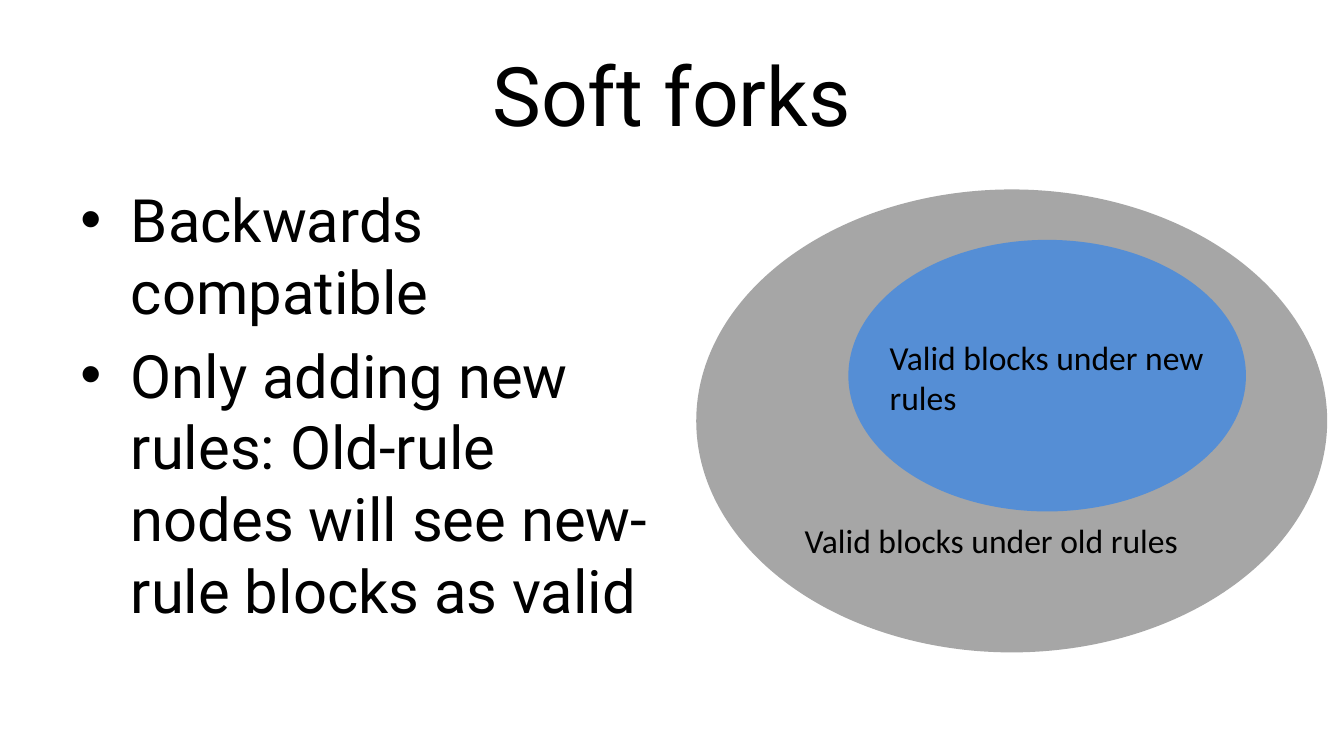
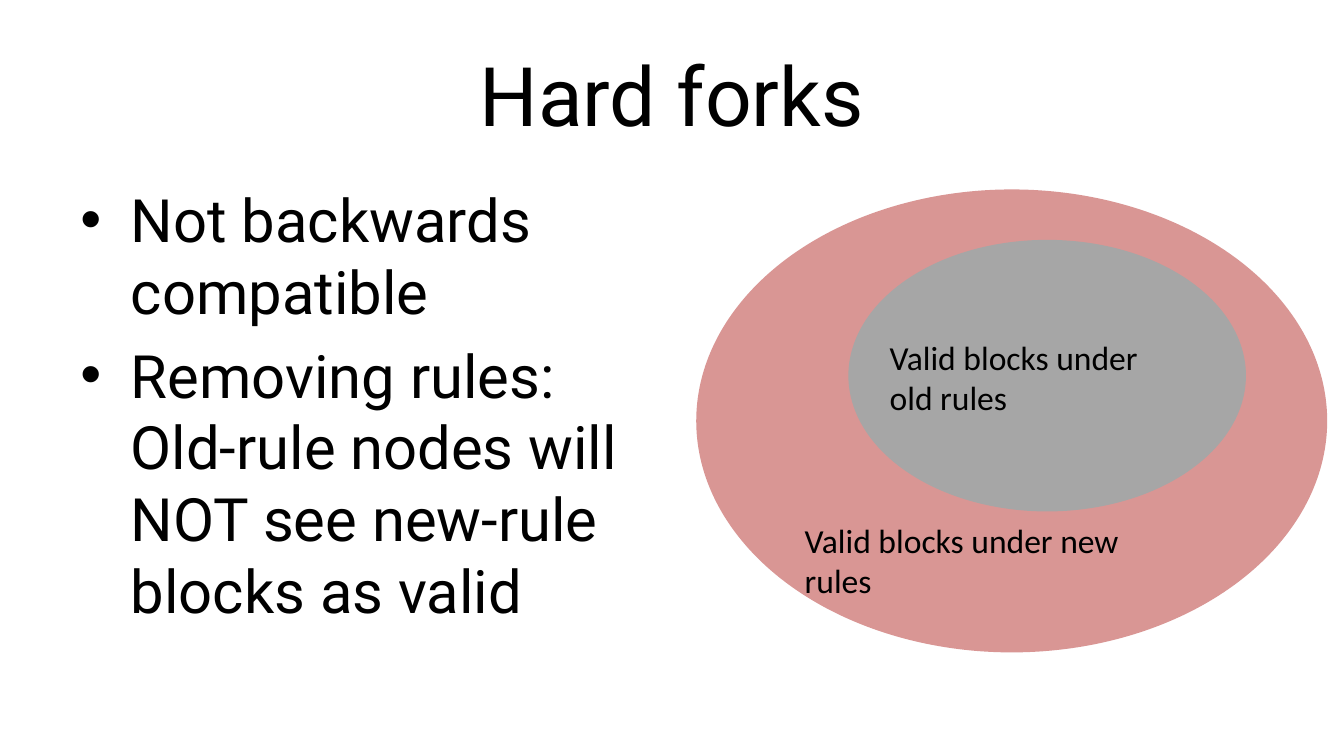
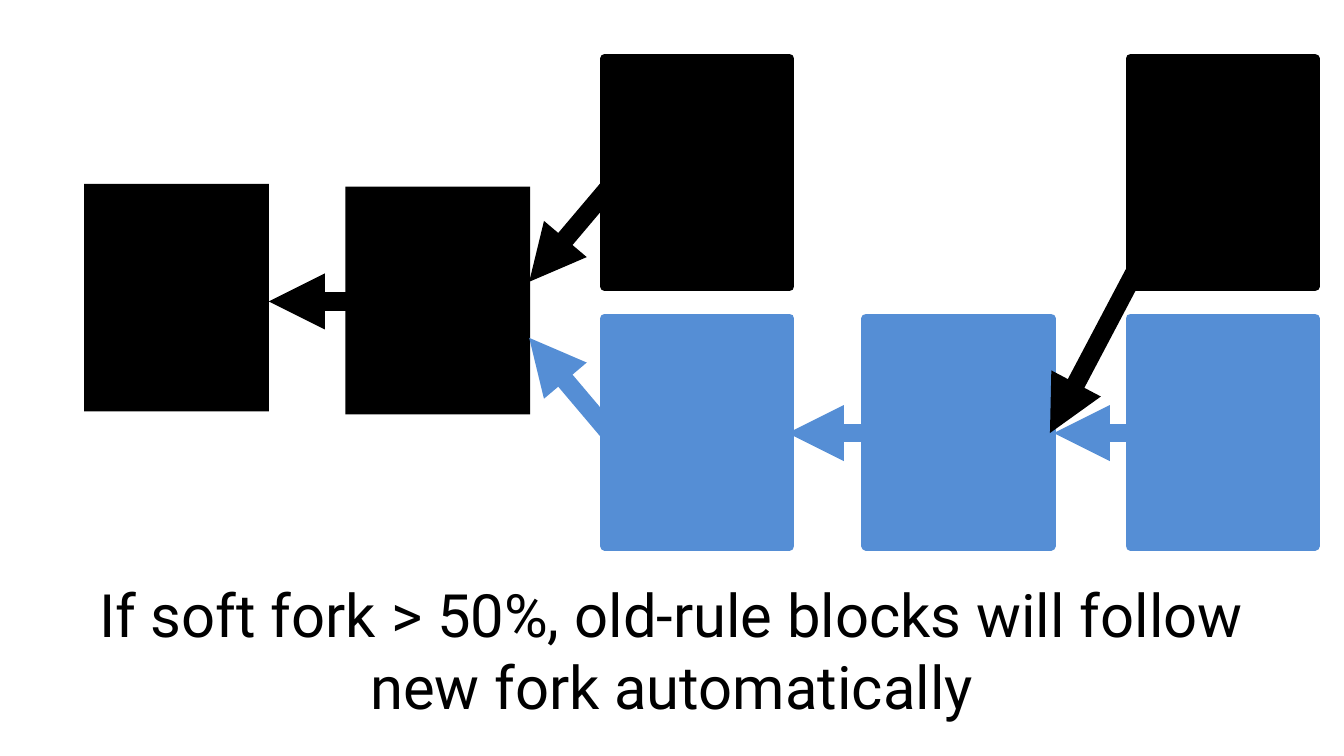
from dataclasses import dataclass
from pptx import Presentation
from pptx.util import Pt
from pptx.dml.color import RGBColor
from pptx.enum.shapes import MSO_CONNECTOR, MSO_SHAPE
from pptx.enum.text import MSO_ANCHOR, MSO_AUTO_SIZE, PP_ALIGN
from pptx.oxml.ns import qn
from lxml.etree import SubElement


@dataclass(frozen=True)
class Theme:
    black: str = "000000"
    gray: str = "A6A6A6"
    blue: str = "558ED5"
    pink: str = "D99694"
    font: str = "Roboto"
    label_font: str = "Calibri"
    title_size: float = 44
    body_size: float = 32
    label_size: float = 18
    indent: float = 27
    arrow_width: float = 10
    border: float = 5


T = Theme()
TITLE_BOX = (36, 16.5, 648, 67.5)
VENN_BOX = (373, 101.5, 338, 248)
CHAIN_BOX = (45, 31.5, 660, 262)
CAPTION_BOX = (36, 306, 648, 78.5)


def set_attrs(obj, values):
    for name, value in values.items():
        setattr(obj, name, value)


def add_text(s, box, lines, size, font=T.font, frame=None, para=None, bullet=False):
    tf = s.shapes.add_textbox(*map(Pt, box)).text_frame
    set_attrs(tf, {"word_wrap": True, **(frame or {})})
    for i, line in enumerate(lines):
        p = tf.add_paragraph() if i else tf.paragraphs[0]
        set_attrs(p, para or {})
        if bullet:
            pPr = p._p.get_or_add_pPr()
            pPr.set("marL", str(Pt(T.indent)))
            pPr.set("indent", str(-Pt(T.indent)))
            SubElement(pPr, qn("a:buFont"), typeface="Arial")
            SubElement(pPr, qn("a:buChar"), char="•")
        r = p.add_run()
        r.text = line
        set_attrs(r.font, {"name": font, "size": Pt(size)})
        r.font.color.rgb = RGBColor.from_string(T.black)


def add_filled(s, kind, box, color, border=0):
    sp = s.shapes.add_shape(kind, *map(Pt, box))
    sp.shadow.inherit = False
    sp.fill.solid()
    sp.fill.fore_color.rgb = RGBColor.from_string(color)
    if border:
        sp.line.color.rgb = RGBColor.from_string(color)
        sp.line.width = Pt(border)
    else:
        sp.line.fill.background()


def add_arrow(s, start, end, color):
    cx = s.shapes.add_connector(MSO_CONNECTOR.STRAIGHT, *map(Pt, (*start, *end)))
    cx.line.color.rgb = RGBColor.from_string(color)
    cx.line.width = Pt(T.arrow_width)
    SubElement(cx.line._get_or_add_ln(), qn("a:tailEnd"), type="triangle")
    SubElement(cx._element.spPr, qn("a:effectLst"))


def add_venn(s, box, outer, inner, inner_label_width):
    x, y, w, h = box
    grow = {"auto_size": MSO_AUTO_SIZE.SHAPE_TO_FIT_TEXT}
    (outer_text, outer_color), (inner_text, inner_color) = outer, inner
    add_filled(s, MSO_SHAPE.OVAL, box, outer_color)
    add_filled(s, MSO_SHAPE.OVAL, (x + 81.5, y + 27, 213, 145.5), inner_color)
    add_text(s, (x + 51, y + 173.5, 220, 29), [outer_text], T.label_size,
             T.label_font, {**grow, "word_wrap": False})
    add_text(s, (x + 96.5, y + 75.5, inner_label_width, 51), [inner_text],
             T.label_size, T.label_font, grow)


def fork_slide(prs, title, bullets, body_width, outer, inner, inner_label_width):
    s = prs.slides.add_slide(prs.slide_layouts[6])
    add_text(s, TITLE_BOX, [title], T.title_size,
             frame={"vertical_anchor": MSO_ANCHOR.MIDDLE},
             para={"alignment": PP_ALIGN.CENTER})
    add_text(s, (36, 94.5, body_width, 267), bullets, T.body_size,
             para={"space_before": Pt(6.4)}, bullet=True)
    add_venn(s, VENN_BOX, outer, inner, inner_label_width)


def add_chain(s, box, blocks):
    x, y, w, h = box
    block_w, block_h = 99, 122
    for left, top, color, border, start, reach in blocks:
        bx, by = x + left, y + top
        if start:
            sx, sy = bx + start[0], by + start[1]
            add_arrow(s, (sx, sy), (sx + reach[0], sy + reach[1]), color)
        add_filled(s, MSO_SHAPE.RECTANGLE, (bx, by, block_w, block_h), color, border)


def chain_slide(prs, caption):
    s = prs.slides.add_slide(prs.slide_layouts[6])
    add_text(s, CAPTION_BOX, [caption], T.body_size,
             para={"alignment": PP_ALIGN.CENTER, "space_before": Pt(6.4)})
    old_row, new_row = 0, 139
    fork, middle, tip = 279, 419, 560.5
    back = (-57.5, 0)
    add_chain(s, CHAIN_BOX, [
        (0, 67, T.black, 0, None, None),
        (140, 68.5, T.black, 0, (16.5, 61.5), back),
        (fork, old_row, T.black, T.border, (17, 51.5), (-57.5, 68)),
        (fork, new_row, T.blue, T.border, (17, 78.5), (-57.5, -68)),
        (middle, new_row, T.blue, T.border, (15.5, 61.5), back),
        (tip, old_row, T.black, T.border, (29.5, 63), (-72.5, 137.5)),
        (tip, new_row, T.blue, T.border, (16.5, 61.5), back),
    ])


prs = Presentation()
set_attrs(prs, {"slide_width": Pt(720), "slide_height": Pt(405)})
OLD, NEW = "Valid blocks under old rules", "Valid blocks under new rules"
fork_slide(prs, "Soft forks",
           ["Backwards compatible",
            "Only adding new rules: Old-rule nodes will see new-rule blocks as valid"],
           331, (OLD, T.gray), (NEW, T.blue), 217.5)
fork_slide(prs, "Hard forks",
           ["Not backwards compatible",
            "Removing rules: Old-rule nodes will NOT see new-rule blocks as valid"],
           324, (NEW, T.pink), (OLD, T.gray), 156)
chain_slide(prs, "If soft fork > 50%, old-rule blocks will follow new fork automatically")
prs.save("out.pptx")
